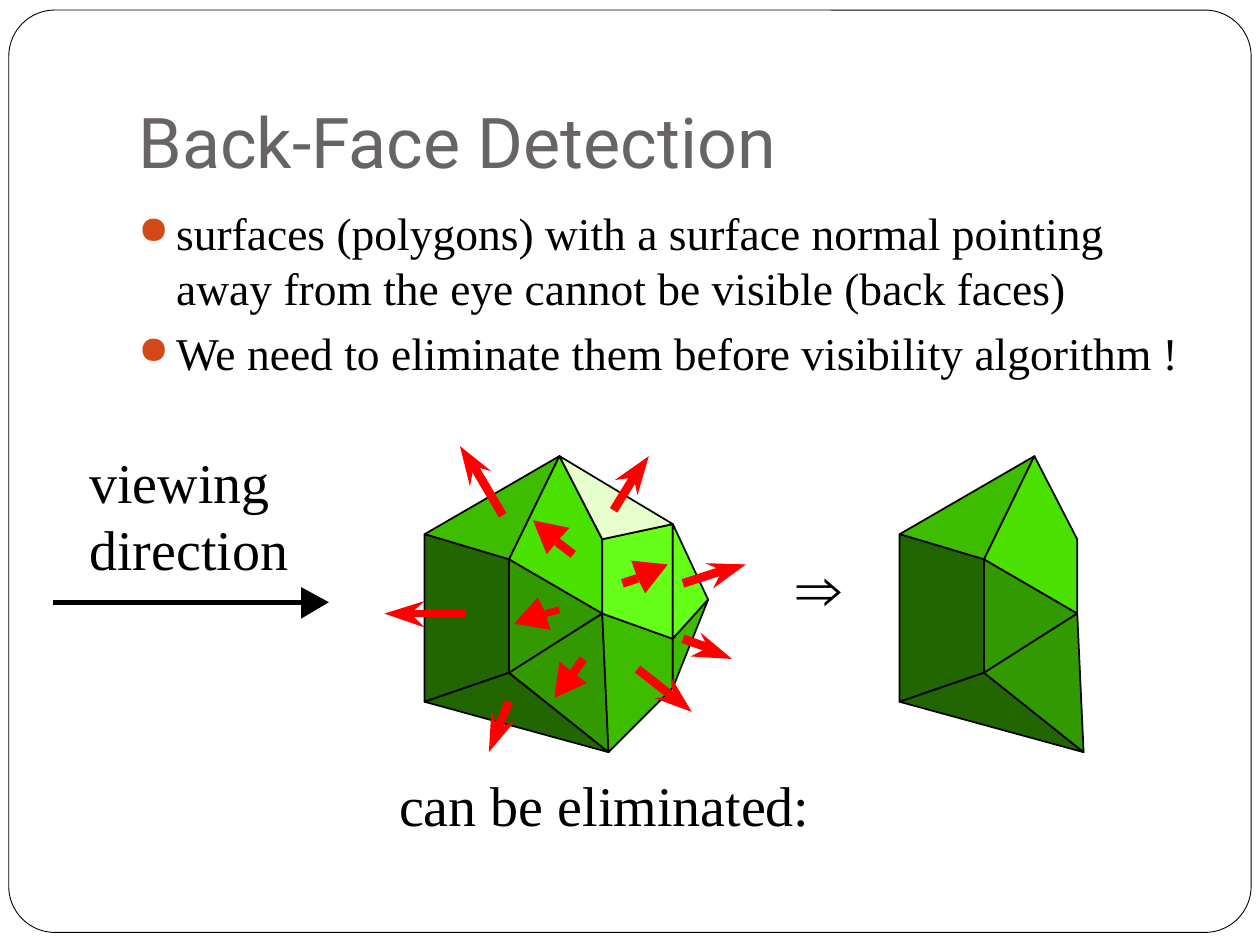
from lxml import etree
from pptx import Presentation
from pptx.dml.color import RGBColor
from pptx.enum.shapes import MSO_CONNECTOR, MSO_SHAPE
from pptx.enum.text import MSO_ANCHOR, PP_ALIGN
from pptx.oxml.ns import qn
from pptx.util import Inches, Pt

STRAIGHT = MSO_CONNECTOR.STRAIGHT
ROUNDED = MSO_SHAPE.ROUNDED_RECTANGLE
BOTTOM, TOP = MSO_ANCHOR.BOTTOM, MSO_ANCHOR.TOP
LEFT = PP_ALIGN.LEFT
SERIF = "Times New Roman"

COLORS = {
    "title": "696464", "bullet": "D34817", "ink": "000000", "normal": "FF0000",
    "darkest": "216600", "dark": "329900", "medium": "3EBD00",
    "bright": "4AE100", "light": "65FF19", "pale": "E6FFCC",
}
VERTICES = {
    "apex": (1.07, 0), "left top": (0, 0.62), "left bottom": (0, 1.95),
    "inner top": (0.67, 0.82), "inner bottom": (0.67, 1.72),
    "base": (1.46, 2.35), "centre": (1.41, 1.25), "ridge": (1.41, 0.66),
    "right top": (1.97, 0.54), "right middle": (1.97, 1.45),
    "right bottom": (1.97, 1.84), "far right": (2.25, 1.14),
}
FRONT_FACES = [
    ("medium", ["apex", "left top", "inner top"]),
    ("darkest", ["inner top", "inner bottom", "left bottom", "left top"]),
    ("darkest", ["inner bottom", "base", "left bottom"]),
    ("bright", ["apex", "ridge", "centre", "inner top"]),
    ("dark", ["inner top", "centre", "inner bottom"]),
    ("dark", ["inner bottom", "centre", "base"]),
]
BACK_FACES = [
    ("medium", ["centre", "right middle", "right bottom", "base"]),
    ("light", ["centre", "right middle", "right top", "ridge"]),
    ("pale", ["apex", "ridge", "right top"]),
    ("light", ["right top", "far right", "right middle"]),
    ("medium", ["right middle", "right bottom", "far right"]),
]
NORMALS = [
    (4, (0.32, 1.25), [(-0.32, 1.25), (0, 1.15), (-0.11, 1.25), (0, 1.36)]),
    (5, (0.62, 0.47), [(0.28, -0.08), (0.53, 0.12), (0.39, 0.08), (0.36, 0.24)]),
    (4, (1.07, 1.22), [(0.71, 1.33), (0.9, 1.12), (0.96, 1.25), (1, 1.38)]),
    (5, (0.67, 1.95), [(0.51, 2.35), (0.53, 2.02), (0.58, 2.16), (0.72, 2.1)]),
    (5, (1.26, 1.61), [(1.03, 1.92), (1.07, 1.63), (1.18, 1.72), (1.29, 1.8)]),
    (5, (1.18, 0.78), [(0.86, 0.51), (1.15, 0.57), (1.05, 0.68), (0.97, 0.78)]),
    (5, (1.5, 0.43), [(1.78, 0), (1.69, 0.31), (1.66, 0.17), (1.51, 0.19)]),
    (5, (2.05, 1.01), [(2.55, 0.86), (2.29, 1.05), (2.36, 0.91), (2.23, 0.85)]),
    (5, (2.05, 1.45), [(2.44, 1.61), (2.11, 1.59), (2.25, 1.52), (2.19, 1.4)]),
    (5, (1.57, 1.01), [(1.93, 0.86), (1.75, 1.09), (1.69, 0.97), (1.64, 0.83)]),
    (5, (1.69, 1.69), [(2.12, 2.03), (1.82, 1.92), (1.97, 1.91), (1.96, 1.76)]),
]
VIEW_ARROW = (3, (0, 0.12), [(2.19, 0.12), (1.97, 0.25), (1.97, 0.12), (1.97, 0)])
BULLETS = [
    "surfaces (polygons) with a surface normal pointing away from the eye "
    "cannot be visible (back faces)",
    "We need to eliminate them before visibility algorithm !",
]


def rgb(name):
    """Return the named colour."""
    return RGBColor.from_string(COLORS[name])


def style_font(font, name, size, color):
    """Set typeface, size and colour."""
    font.name, font.size = name, Pt(size)
    font.color.rgb = rgb(color)


def add_polygon(page, left, top, points, fill, line_width=None):
    """Draw a closed polygon with points relative to left and top."""
    corners = [(Inches(left + x), Inches(top + y)) for x, y in points]
    builder = page.shapes.build_freeform(*corners[0], scale=1.0)
    builder.add_line_segments(corners[1:], close=True)
    shape = builder.convert_to_shape()
    shape.shadow.inherit = False
    shape.fill.solid()
    shape.fill.fore_color.rgb = rgb(fill)
    if line_width:
        shape.line.color.rgb = rgb("ink")
        shape.line.width = Pt(line_width)
    else:
        shape.line.fill.background()


def add_polyhedron(page, left, top, faces):
    """Draw the given faces of the solid."""
    for color, names in faces:
        points = [VERTICES[name] for name in names]
        add_polygon(page, left, top, points, color, 1)


def add_arrow(page, left, top, arrow, color):
    """Draw a shaft that ends at the notch of a polygon head."""
    width, tail, head = arrow
    add_polygon(page, left, top, head, color)
    ends = [Inches(left + tail[0]), Inches(top + tail[1]),
            Inches(left + head[2][0]), Inches(top + head[2][1])]
    shaft = page.shapes.add_connector(STRAIGHT, *ends)
    shaft.line.color.rgb = rgb(color)
    shaft.line.width = Pt(width)
    etree.SubElement(shaft._element.spPr, qn("a:effectLst"))


def add_label(page, left, top, width, height, text, name, size, wrap, inset=True):
    """Place a one-paragraph label."""
    box = page.shapes.add_textbox(Inches(left), Inches(top), Inches(width), Inches(height))
    frame = box.text_frame
    frame.text, frame.word_wrap = text, wrap
    if not inset:
        frame.margin_left = frame.margin_right = 0
        frame.margin_top = frame.margin_bottom = 0
    style_font(frame.paragraphs[0].runs[0].font, name, size, "ink")


def add_frame(page, left, top, width, height):
    """Draw the rounded border of the page."""
    border = page.shapes.add_shape(
        ROUNDED, Inches(left), Inches(top), Inches(width), Inches(height))
    border.adjustments[0] = 0.05
    border.shadow.inherit = False
    border.fill.background()
    border.line.color.rgb = rgb("ink")
    border.line.width = Pt(0.5)


def set_title(page, left, top, width, height):
    """Move and format the title placeholder."""
    title = page.shapes.title
    title.left, title.top = Inches(left), Inches(top)
    title.width, title.height = Inches(width), Inches(height)
    frame = title.text_frame
    frame.text = "Back-Face Detection"
    frame.vertical_anchor = BOTTOM
    frame.margin_bottom = Inches(0.1)
    frame.paragraphs[0].alignment = LEFT
    style_font(frame.paragraphs[0].runs[0].font, "Roboto", 40, "title")


def add_bullets(page, left, top, width, height):
    """Write the bulleted statements."""
    box = page.shapes.add_textbox(Inches(left), Inches(top), Inches(width), Inches(height))
    frame = box.text_frame
    frame.word_wrap, frame.vertical_anchor = True, TOP
    frame.text = "\n".join(BULLETS)
    for index, para in enumerate(frame.paragraphs):
        props = para._p.get_or_add_pPr()
        props.set("marL", str(Inches(0.3)))
        props.set("indent", str(Inches(-0.3)))
        if index:
            para.space_before = Pt(5.8)
        tint = etree.SubElement(props, qn("a:buClr"))
        etree.SubElement(tint, qn("a:srgbClr"), val=COLORS["bullet"])
        etree.SubElement(props, qn("a:buSzPct"), val="85000")
        etree.SubElement(props, qn("a:buChar"), char="●")
        style_font(para.runs[0].font, SERIF, 26, "ink")


def add_elimination(page, left, top):
    """Draw the solid with its normals, the view arrow and the result."""
    add_polyhedron(page, left, top, FRONT_FACES + BACK_FACES)
    for arrow in NORMALS:
        add_arrow(page, left, top, arrow, "normal")
    add_arrow(page, left - 2.95, top + 1.04, VIEW_ARROW, "ink")
    add_polyhedron(page, left + 3.77, top, FRONT_FACES)
    add_label(page, left + 2.95, top + 0.73, 0.49, 0.6, "⇒", "Arial", 36, False, inset=False)
    add_label(page, left - 2.76, top - 0.12, 1.93, 1.17, "viewing direction", SERIF, 32, True)
    add_label(page, left - 0.3, top + 2.45, 3.8, 0.63, "can be eliminated:", SERIF, 32, False)


def main():
    """Build and save the deck."""
    deck = Presentation()
    deck.slide_width, deck.slide_height = Inches(10), Inches(7.5)
    page = deck.slides.add_slide(deck.slide_layouts[5])
    add_frame(page, 0.07, 0.08, 9.86, 7.32)
    set_title(page, 1, 0.3, 8.5, 1.25)
    add_bullets(page, 1, 1.58, 8.5, 5)
    add_elimination(page, 3.37, 3.62)
    deck.save("out.pptx")


if __name__ == "__main__":
    main()
